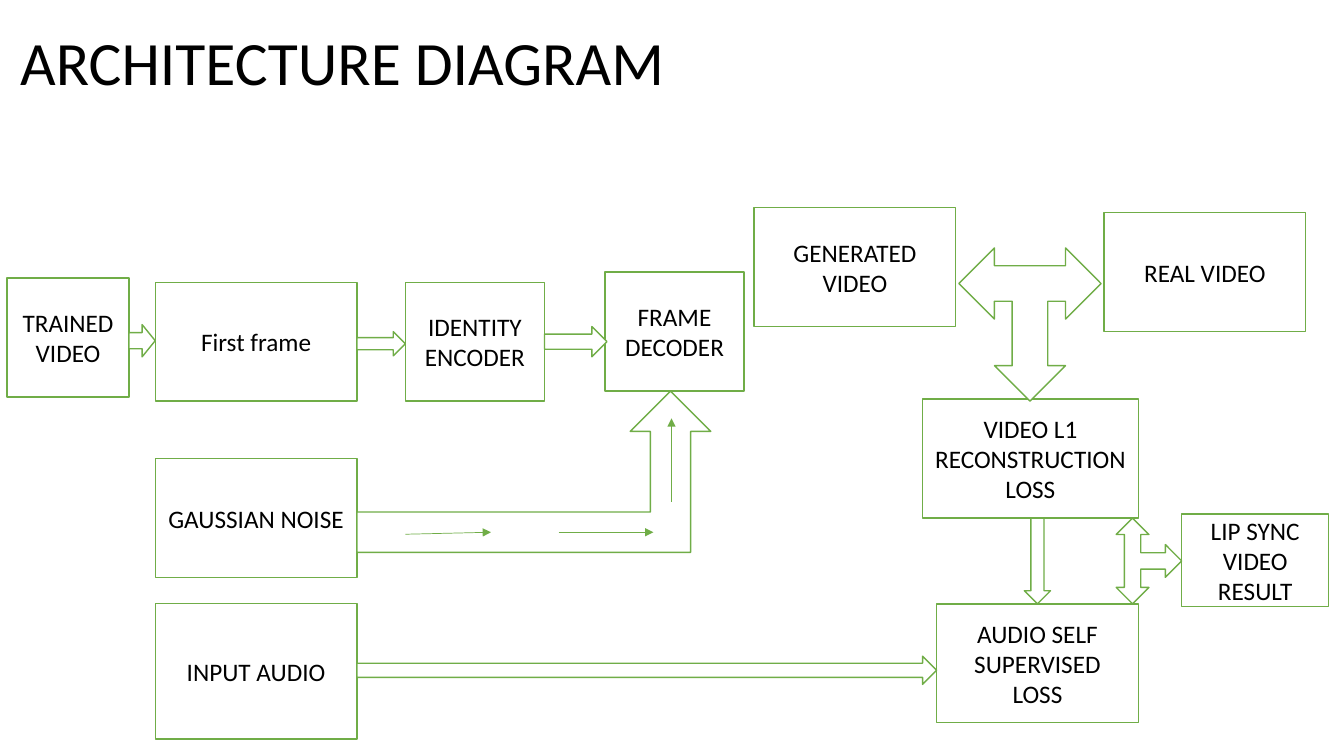
import pptx
import pptx.util
import pptx.dml.color
import pptx.enum.shapes
import pptx.enum.text
import pptx.oxml
import pptx.oxml.ns
from dataclasses import dataclass

EMU_PER_PX = 9144  # 100 px to the inch
SHAPE = pptx.enum.shapes.MSO_SHAPE
ALIGN = pptx.enum.text.PP_ALIGN
TITLE_ONLY = 5


@dataclass(frozen=True)
class Theme:
    font: str = "Calibri"
    ink: str = "000000"
    paper: str = "FFFFFF"
    green: str = "70AD47"
    title_size: int = 44
    label_size: int = 18
    outline: float = 1
    flow_line: float = 0.5


THEME = Theme()

# Boxes: label, left, top, width, height
STAGES = [
    ("First frame", 154, 280, 200, 118),
    ("IDENTITY ENCODER", 402, 280, 138, 118),
    ("GENERATED VIDEO", 748, 206, 200, 118),
    ("FRAME DECODER", 600, 270, 138, 118),
    ("VIDEO L1 RECONSTRUCTION LOSS", 915, 396, 214, 118),
    ("INPUT AUDIO", 154, 599, 200, 134),
    ("AUDIO SELF SUPERVISED LOSS", 929, 599, 200, 118),
    ("GAUSSIAN NOISE", 154, 455, 200, 118),
    ("REAL VIDEO", 1095, 211, 200, 118),
    ("LIP SYNC VIDEO RESULT", 1172, 510, 146, 92),
    ("TRAINED VIDEO", 7, 276, 121, 118),
]

# Block arrows: preset, left, top, width, height, rotation
BLOCK_ARROWS = [
    (SHAPE.BENT_UP_ARROW, 354, 388, 351, 160, 0),
    (SHAPE.LEFT_RIGHT_UP_ARROW, 951, 246, 141, 152, 180),
    (SHAPE.DOWN_ARROW, 1016, 514, 26, 85, 0),
    (SHAPE.RIGHT_ARROW, 354, 329, 48, 24, 0),
    (SHAPE.RIGHT_ARROW, 540, 324, 62, 30, 0),
    (SHAPE.RIGHT_ARROW, 354, 651, 575, 28, 0),
    (SHAPE.LEFT_RIGHT_UP_ARROW, 1097, 524, 85, 65, 90),
    (SHAPE.RIGHT_ARROW, 128, 322, 26, 32, 0),
]

# Thin arrows along the noise path: x and y of start and end
NOISE_FLOW = [
    (402, 530, 487, 528),
    (554, 528, 648, 528),
    (666, 498, 666, 415),
]


def px(*lengths):
    return [pptx.util.Emu(length * EMU_PER_PX) for length in lengths]


def rgb(value):
    return pptx.dml.color.RGBColor.from_string(value)


def write(frame, text, *, size, align=ALIGN.CENTER, spacing=None):
    frame.word_wrap = True
    frame.auto_size = pptx.enum.text.MSO_AUTO_SIZE.NONE
    frame.vertical_anchor = pptx.enum.text.MSO_ANCHOR.MIDDLE
    paragraph = frame.paragraphs[0]
    paragraph.alignment = align
    paragraph.line_spacing = spacing
    run = paragraph.add_run()
    run.text = text
    run.font.name = THEME.font
    run.font.size = pptx.util.Pt(size)
    run.font.color.rgb = rgb(THEME.ink)


def add_outlined(slide, preset, left, top, width, height, rotation=0):
    outlined = slide.shapes.add_shape(preset, *px(left, top, width, height))
    outlined.rotation = rotation
    outlined.shadow.inherit = False
    outlined.fill.solid()
    outlined.fill.fore_color.rgb = rgb(THEME.paper)
    outlined.line.color.rgb = rgb(THEME.green)
    outlined.line.width = pptx.util.Pt(THEME.outline)
    return outlined


def add_stage(slide, label, *bounds):
    stage = add_outlined(slide, SHAPE.RECTANGLE, *bounds)
    write(stage.text_frame, label, size=THEME.label_size)


def add_flow(slide, *ends):
    flow = slide.shapes.add_connector(
        pptx.enum.shapes.MSO_CONNECTOR.STRAIGHT, *px(*ends))
    flow.line.color.rgb = rgb(THEME.green)
    flow.line.width = pptx.util.Pt(THEME.flow_line)
    # Arrowhead at the end, and no shadow
    head = pptx.oxml.parse_xml(
        f'<a:tailEnd {pptx.oxml.ns.nsdecls("a")} type="triangle"/>')
    flow.line._get_or_add_ln().append(head)
    no_effects = pptx.oxml.parse_xml(
        f'<a:effectLst {pptx.oxml.ns.nsdecls("a")}/>')
    flow._element.spPr.append(no_effects)


def add_title(slide, text):
    title = slide.shapes.title
    title.left, title.top, title.width, title.height = px(10, -7, 1150, 145)
    write(title.text_frame, text, size=THEME.title_size,
          align=ALIGN.LEFT, spacing=0.9)


def main():
    deck = pptx.Presentation()
    deck.slide_width, deck.slide_height = px(1333, 750)
    slide = deck.slides.add_slide(deck.slide_layouts[TITLE_ONLY])

    add_title(slide, "ARCHITECTURE DIAGRAM")
    for stage in STAGES:
        add_stage(slide, *stage)
    for arrow in BLOCK_ARROWS:
        add_outlined(slide, *arrow)
    for ends in NOISE_FLOW:
        add_flow(slide, *ends)

    deck.save("out.pptx")


if __name__ == "__main__":
    main()
